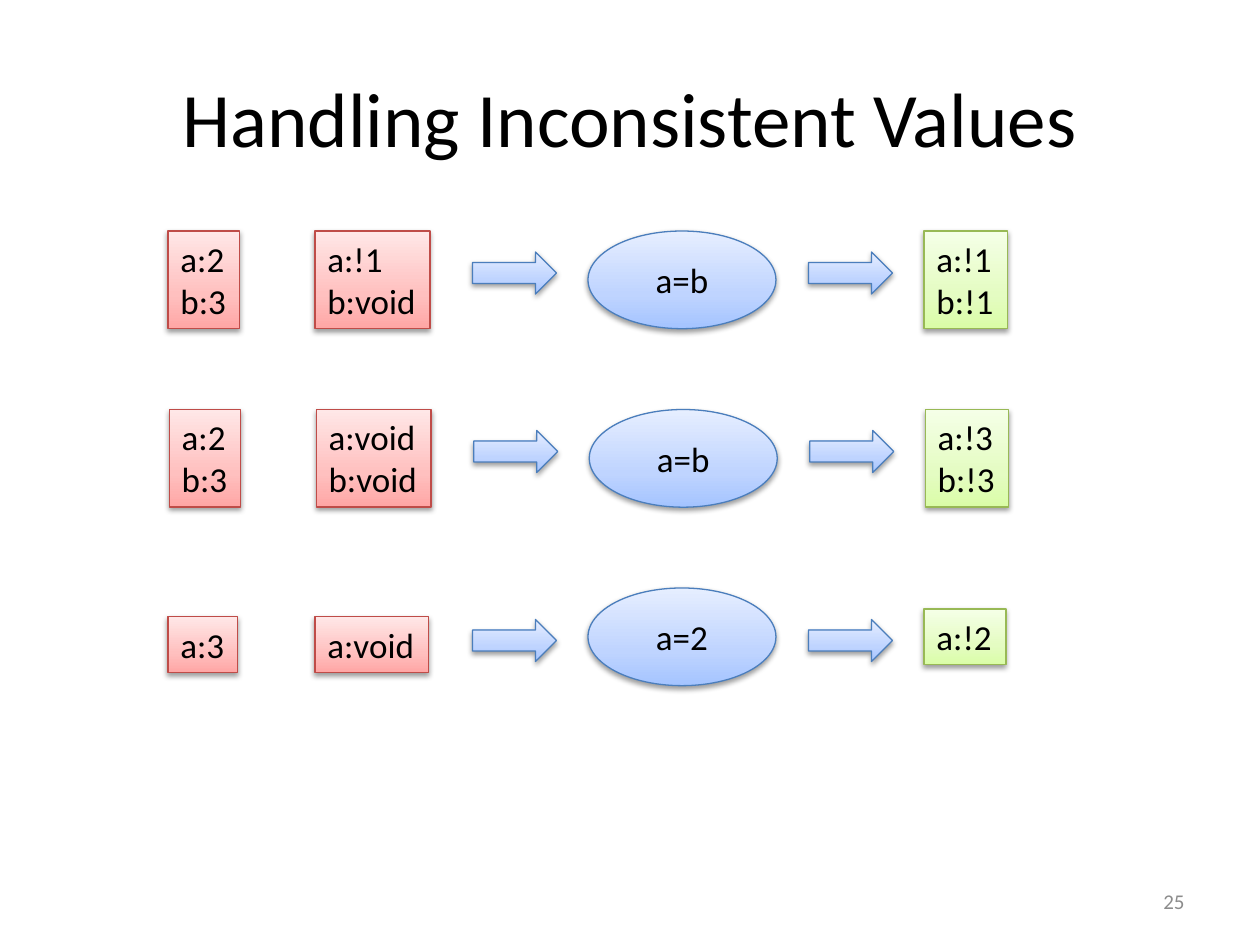
"""Build the slide on how inconsistent values are handled, on a grid of 120 by 90 units."""
from copy import deepcopy
from lxml.etree import SubElement
from pptx import Presentation
from pptx.dml.color import RGBColor as RGB
from pptx.enum.shapes import MSO_SHAPE as Kind
from pptx.enum.text import MSO_ANCHOR as Anchor, MSO_AUTO_SIZE as Fit, PP_ALIGN as Align
from pptx.oxml.ns import qn
from pptx.util import Inches, Pt

TITLE, PAGE = "Handling Inconsistent Values", "25"
ROWS = [
    dict(state="a:2\nb:3", sent="a:!1\nb:void", rule="a=b", out="a:!1\nb:!1"),
    dict(state="a:2\nb:3", sent="a:void\nb:void", rule="a=b", out="a:!3\nb:!3"),
    dict(state="a:3", sent="a:void", rule="a=2", out="a:!2"),
]
COLS = dict(state=16, sent=30, arrow_in=45, rule=56, arrow_out=77, out=88)
WIDE = dict(state=6.8, sent=10.95, rule=17.9, out=7.95)
TOP, STEP, TALL, LOW = 22, 17, 9.3, 5.3
NUDGE = [0, 0.12, 0]
DROPS = [dict(arrow=2), dict(arrow=2), dict(state=2.75, sent=2.75, out=2, arrow=3)]
THEME = dict(
    font="Calibri", ink="000000", grey="8C8C8C", head=44, body=20, foot=12, line=0.75,
    red=("BF4C48", "FFA6A5", "FFC0BF", "FFE7E7"),
    green=("98B955", "DAFDA7", "E4FCC2", "F5FFE7"),
    blue=("4B7EBC", "A4C4FF", "BFD4FF", "E6EEFF"),
)
STOPS = (0, 0.35, 1)
SHADE = dict(blurRad=Pt(3.1), dist=Pt(1.6), dir=90 * 60000, algn="ctr", rotWithShape=0)
BOX = dict(word_wrap=False, auto_size=Fit.SHAPE_TO_FIT_TEXT, vertical_anchor=Anchor.TOP)
OVAL = dict(word_wrap=False, vertical_anchor=Anchor.MIDDLE)
PLAIN = dict(word_wrap=True, vertical_anchor=Anchor.MIDDLE)


def put(item, vals):
    for name, val in vals.items():
        setattr(item, name, val)


def grid(*units):
    return [Inches(unit / 12) for unit in units]


def write(shape, text, frame, align, size, ink):
    put(shape.text_frame, frame)
    par = shape.text_frame.paragraphs[0]
    put(par, dict(text=text, alignment=align))
    for run in par.runs:
        put(run.font, dict(name=THEME["font"], size=Pt(size)))
        run.font.color.rgb = RGB.from_string(ink)


def paint(shape, tone):
    edge, *fades = THEME[tone]
    shape.fill.gradient()
    shape.fill.gradient_angle = 90
    props = shape._element.spPr
    stops = props.find(".//" + qn("a:gsLst"))
    stops.append(deepcopy(stops[0]))
    for stop, spot, fade in zip(shape.fill.gradient_stops, STOPS, fades):
        stop.position = spot
        stop.color.rgb = RGB.from_string(fade)
    shape.line.color.rgb = RGB.from_string(edge)
    shape.line.width = Pt(THEME["line"])
    shape.shadow.inherit = False
    cast = SubElement(props.find(qn("a:effectLst")), qn("a:outerShdw"),
                      {name: str(val) for name, val in SHADE.items()})
    tint = SubElement(cast, qn("a:srgbClr"), val=THEME["ink"])
    SubElement(tint, qn("a:alpha"), val="38000")


def draw(slide, kind, tone, *place):
    shape = slide.shapes.add_shape(kind, *grid(*place))
    paint(shape, tone)
    return shape


def label(slide, text, place, align, size, ink):
    write(slide.shapes.add_textbox(*grid(*place)), text, PLAIN, align, size, ink)


def add_row(slide, num, row):
    top, drop = TOP + STEP * num, DROPS[num]
    for name, left in COLS.items():
        left += NUDGE[num]
        if name.startswith("arrow"):
            draw(slide, Kind.RIGHT_ARROW, "blue", left, top + drop["arrow"], 8, 4)
            continue
        text, wide = row[name], WIDE[name]
        if name == "rule":
            shape = draw(slide, Kind.OVAL, "blue", left, top, wide, TALL)
            frame, align = OVAL, Align.CENTER
        else:
            one = "\n" not in text
            tone = "green" if name == "out" else "red"
            shape = draw(slide, Kind.RECTANGLE, tone, left, top + drop.get(name, 0),
                         wide - 0.15 * one, LOW if one else TALL)
            frame, align = BOX, Align.LEFT
        write(shape, text, frame, align, THEME["body"], THEME["ink"])


def main():
    deck = Presentation()
    put(deck, dict(zip(("slide_width", "slide_height"), grid(120, 90))))
    slide = deck.slides.add_slide(deck.slide_layouts[6])
    label(slide, TITLE, (6, 3.6, 108, 15), Align.CENTER, THEME["head"], THEME["ink"])
    for num, row in enumerate(ROWS):
        add_row(slide, num, row)
    label(slide, PAGE, (86, 83.4, 28, 4.8), Align.RIGHT, THEME["foot"], THEME["grey"])
    deck.save("out.pptx")


if __name__ == "__main__":
    main()
